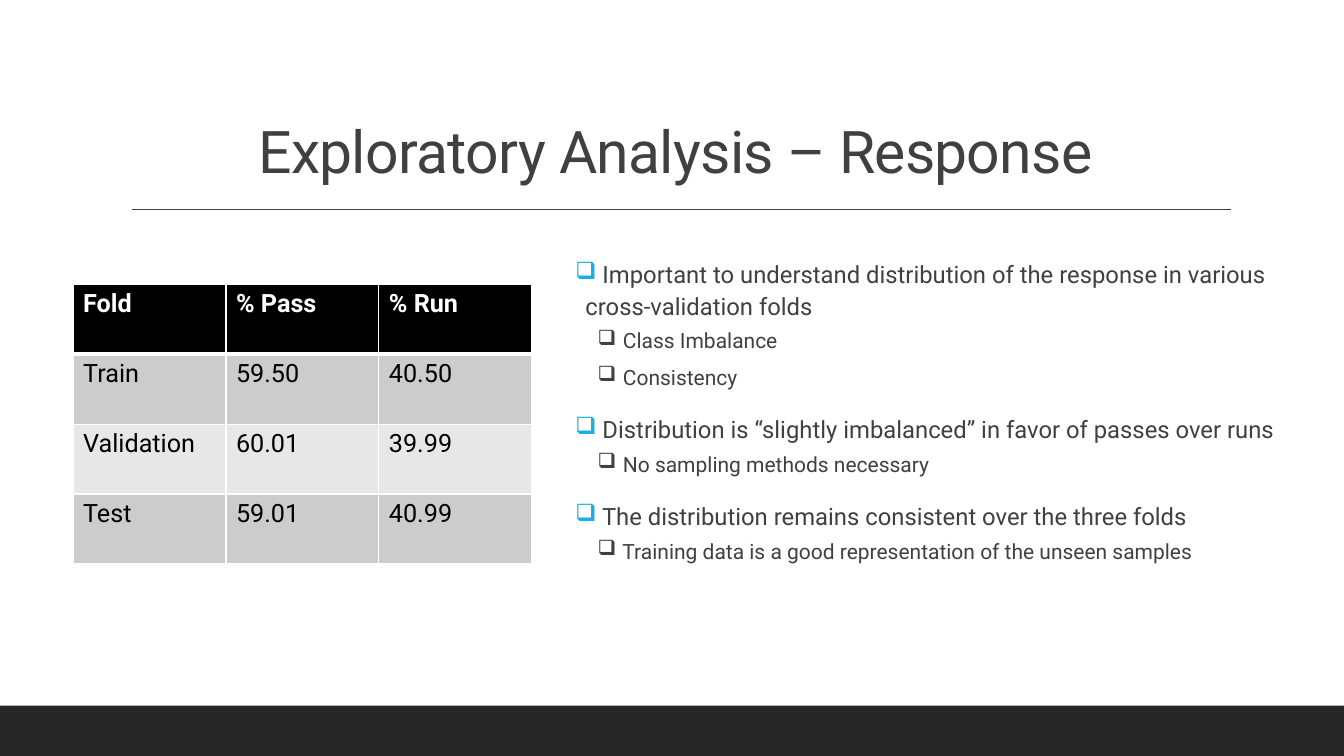
from lxml import etree
from pptx import Presentation
from pptx.dml.color import RGBColor
from pptx.enum.shapes import MSO_CONNECTOR, MSO_SHAPE
from pptx.enum.text import MSO_ANCHOR, PP_ALIGN
from pptx.oxml.ns import qn
from pptx.util import Pt

STRAIGHT = MSO_CONNECTOR.STRAIGHT
RECTANGLE = MSO_SHAPE.RECTANGLE
BOTTOM = MSO_ANCHOR.BOTTOM
CENTER = PP_ALIGN.CENTER

FONT = "Roboto"
GREY, DARK, BLUE = "404040", "262626", "1CADE4"
WHITE, BLACK = "FFFFFF", "000000"
BANDS = ["CCCCCC", "E7E7E7"]

FOLDS = [
    ["Fold", "% Pass", "% Run"],
    ["Train", "59.50", "40.50"],
    ["Validation", "60.01", "39.99"],
    ["Test", "59.01", "40.99"],
]
POINTS = [
    (0, "Important to understand distribution of the response in various cross-validation folds"),
    (1, "Class Imbalance"),
    (1, "Consistency"),
    (0, "Distribution is “slightly imbalanced” in favor of passes over runs"),
    (1, "No sampling methods necessary"),
    (0, "The distribution remains consistent over the three folds"),
    (1, "Training data is a good representation of the unseen samples"),
]
LEVELS = [
    {"size": 17, "left": 7.2, "hang": 7.2, "before": 12, "after": 2, "bullet": BLUE},
    {"size": 15, "left": 30.24, "hang": 14.4, "before": 2, "after": 4, "bullet": GREY},
]


def color(value):
    return RGBColor.from_string(value)


def style_runs(para, size, value, bold=False):
    for span in para.runs:
        span.font.name = FONT
        span.font.size = Pt(size)
        span.font.bold = bold
        span.font.color.rgb = color(value)


def add_text_frame(page, left, top, width, height):
    box = page.shapes.add_textbox(Pt(left), Pt(top), Pt(width), Pt(height))
    box.text_frame.word_wrap = True
    return box.text_frame


def add_footer(page, left, top, width, height):
    band = page.shapes.add_shape(RECTANGLE, Pt(left), Pt(top), Pt(width), Pt(height))
    band.shadow.inherit = False
    band.fill.solid()
    band.fill.fore_color.rgb = color(DARK)
    band.line.fill.background()


def add_title(page, left, top, width, height):
    rule_top = Pt(top + height + 13)
    rule = page.shapes.add_connector(
        STRAIGHT, Pt(left + 8), rule_top, Pt(left + width + 0.7), rule_top)
    rule.line.color.rgb = color(GREY)
    rule.line.width = Pt(1)
    etree.SubElement(rule._element.spPr, qn("a:effectLst"))

    frame = add_text_frame(page, left, top, width, height)
    frame.vertical_anchor = BOTTOM
    para = frame.paragraphs[0]
    para.text = "Exploratory Analysis – Response"
    para.alignment = CENTER
    para.line_spacing = 0.9
    style_runs(para, 42, GREY)
    para.runs[0].font._element.set("spc", "-50")


def add_border(cell, side, width):
    line = etree.SubElement(
        cell._tc.get_or_add_tcPr(), qn(f"a:ln{side}"), w=str(Pt(width)))
    fill = etree.SubElement(line, qn("a:solidFill"))
    etree.SubElement(fill, qn("a:srgbClr"), val=WHITE)


def add_fold_table(page, left, top, width, height):
    frame = page.shapes.add_table(
        len(FOLDS), len(FOLDS[0]), Pt(left), Pt(top), Pt(width), Pt(height))
    for row, values in enumerate(FOLDS):
        header = row == 0
        for column, value in enumerate(values):
            cell = frame.table.cell(row, column)
            for side in "LRTB":
                thick = (header and side == "B") or (row == 1 and side == "T")
                add_border(cell, side, 3 if thick else 1)
            cell.fill.solid()
            cell.fill.fore_color.rgb = color(BLACK if header else BANDS[(row - 1) % 2])
            para = cell.text_frame.paragraphs[0]
            para.text = value
            style_runs(para, 18, WHITE if header else BLACK, header)


def add_bullet(para, level):
    props = para._p.get_or_add_pPr()
    props.set("marL", str(Pt(level["left"])))
    props.set("indent", str(-Pt(level["hang"])))
    tint = etree.SubElement(props, qn("a:buClr"))
    etree.SubElement(tint, qn("a:srgbClr"), val=level["bullet"])
    etree.SubElement(props, qn("a:buChar"), char="❑")


def add_points(page, left, top, width, height):
    frame = add_text_frame(page, left, top, width, height)
    frame.margin_left = frame.margin_right = 0
    for index, (depth, wording) in enumerate(POINTS):
        level = LEVELS[depth]
        para = frame.add_paragraph() if index else frame.paragraphs[0]
        para.text = " " + wording
        para.level = depth
        para.line_spacing = 1.1
        para.space_before = Pt(level["before"])
        para.space_after = Pt(level["after"])
        add_bullet(para, level)
        style_runs(para, level["size"], GREY)


def main():
    deck = Presentation()
    deck.slide_width, deck.slide_height = Pt(960), Pt(540)
    page = deck.slides.add_slide(deck.slide_layouts[6])
    add_footer(page, 0, 504, 960, 36)
    add_title(page, 86.4, 22.5, 792, 114)
    add_fold_table(page, 52.2, 203, 327.6, 200)
    add_points(page, 411, 180, 526, 296)
    deck.save("out.pptx")


if __name__ == "__main__":
    main()
